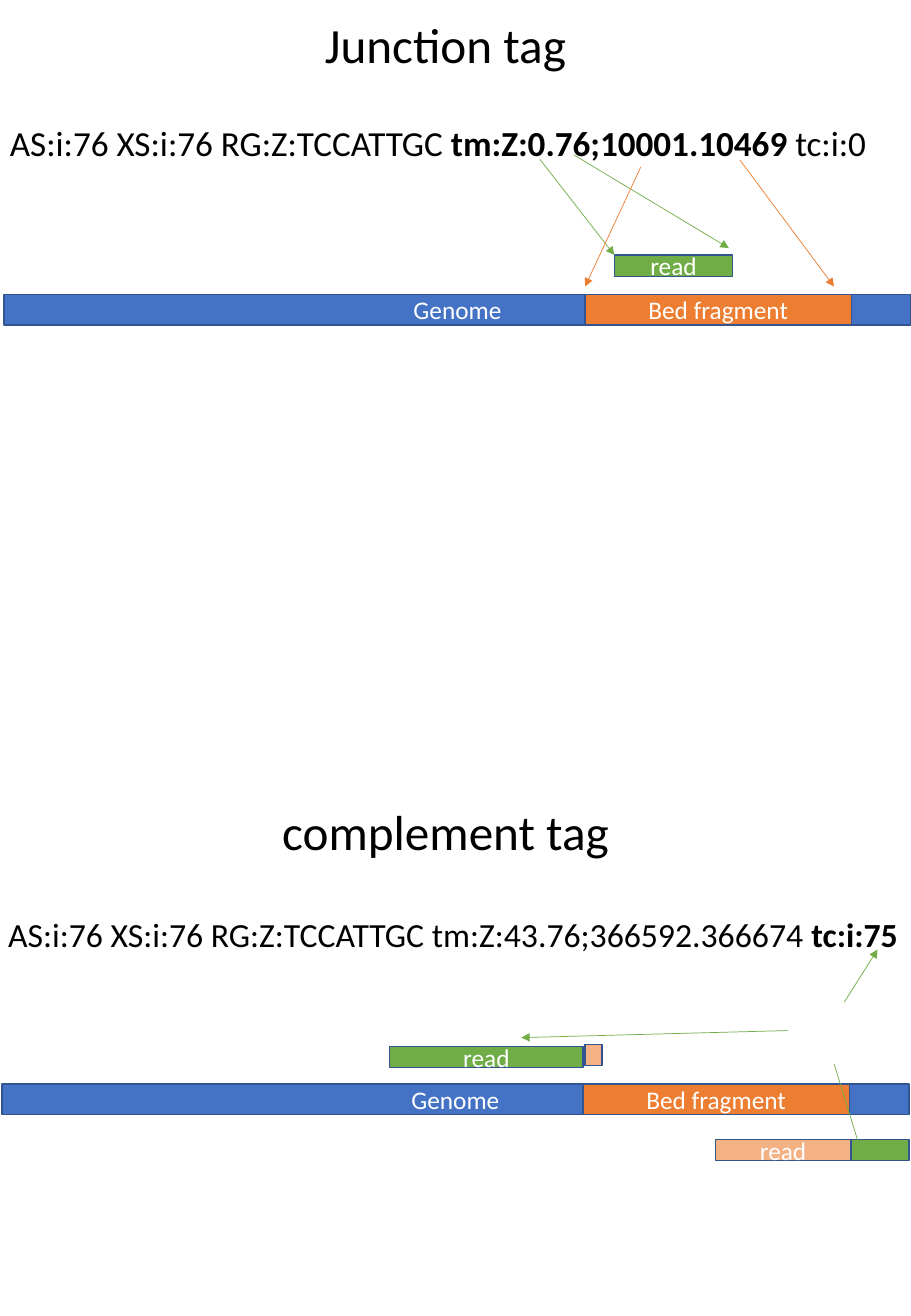
from lxml import etree
from pptx import Presentation
from pptx.dml.color import RGBColor
from pptx.enum.shapes import MSO_CONNECTOR, MSO_SHAPE
from pptx.enum.text import MSO_ANCHOR, MSO_AUTO_SIZE, PP_ALIGN
from pptx.oxml.ns import qn
from pptx.util import Pt

RECT = MSO_SHAPE.RECTANGLE
STRAIGHT = MSO_CONNECTOR.STRAIGHT
TOP, MIDDLE = MSO_ANCHOR.TOP, MSO_ANCHOR.MIDDLE
LEFT, CENTER = PP_ALIGN.LEFT, PP_ALIGN.CENTER
FIT_SHAPE = MSO_AUTO_SIZE.SHAPE_TO_FIT_TEXT
BLUE, ORANGE, GREEN, PEACH = "4472C4", "ED7D31", "70AD47", "F4B183"
OUTLINE, BLACK, WHITE = "325491", "000000", "FFFFFF"


def rgb(color):
    return RGBColor.from_string(color)


def write(sp, runs, size, color, align, anchor):
    tf = sp.text_frame
    tf.vertical_anchor = anchor
    p = tf.paragraphs[0]
    p.alignment = align
    p.font.name, p.font.size = "Calibri", Pt(size)
    p.font.color.rgb = rgb(color)
    for text, bold in runs:
        r = p.add_run()
        r.text = text
        if bold:
            r.font.bold = True


prs = Presentation()
prs.slide_width, prs.slide_height = Pt(648), Pt(936)
s = prs.slides.add_slide(prs.slide_layouts[5])

# Headings: the slide title and the heading of the lower half
title = s.shapes.title
subtitle = s.shapes.add_textbox(0, 0, 0, 0)
headings = [
    (title, "Junction tag", 223.9, 6.5, 187.9),
    (subtitle, "complement tag", 193.7, 566.6, 249.1),
]
for sp, text, x, y, w in headings:
    sp.left, sp.top, sp.width, sp.height = Pt(x), Pt(y), Pt(w), Pt(49.7)
    sp.text_frame.word_wrap = False
    sp.text_frame.auto_size = FIT_SHAPE
    write(sp, [(text, False)], 35, BLACK, LEFT, TOP)

# Tag lines, with the explained tag in bold
tag_lines = [
    (0, 82.8, 652.3, 67.7, 25, [("AS:i:76 XS:i:76 RG:Z:TCCATTGC ", False),
                                ("tm:Z:0.76;10001.10469 ", True), ("tc:i:0", False)]),
    (-1.4, 646.6, 649.4, 37.4, 24,
     [("AS:i:76 XS:i:76 RG:Z:TCCATTGC tm:Z:43.76;366592.366674 ", False),
      ("tc:i:75", True)]),
]
for x, y, w, h, size, runs in tag_lines:
    sp = s.shapes.add_textbox(Pt(x), Pt(y), Pt(w), Pt(h))
    sp.text_frame.word_wrap = True
    sp.text_frame.auto_size = FIT_SHAPE
    write(sp, runs, size, BLACK, LEFT, TOP)

# Genome with its bed fragment in both halves, then the reads
bars = []
for x, y in [(2.9, 209.5), (1.4, 771.1)]:
    bars += [("Genome", x, y, 645.1, 21.6, BLUE),
             ("Bed fragment", x + 413.3, y, 189.4, 21.6, ORANGE)]
bars += [
    ("read", 437, 181.4, 84.2, 15.1, GREEN),
    ("", 416.2, 743, 12.2, 14.8, PEACH),
    ("read", 277.2, 744.5, 137.5, 14.8, GREEN),
    ("read", 509, 810.7, 96, 14.8, PEACH),
    ("", 605.3, 810.7, 41.2, 14.8, GREEN),
]
for text, x, y, w, h, color in bars:
    sp = s.shapes.add_shape(RECT, Pt(x), Pt(y), Pt(w), Pt(h))
    sp.shadow.inherit = False
    sp.fill.solid()
    sp.fill.fore_color.rgb = rgb(color)
    sp.line.color.rgb = rgb(OUTLINE)
    sp.line.width = Pt(1)
    if text:
        write(sp, [(text, False)], 18, WHITE, CENTER, MIDDLE)

# Arrows between tag values and bars
arrows = [
    (383.8, 113, 437, 181.4, GREEN),
    (408.2, 110.2, 518.4, 176.4, GREEN),
    (455.8, 118.8, 416.2, 203.8, ORANGE),
    (526.3, 113.8, 593.3, 203.8, ORANGE),
    (560.2, 733, 370.8, 738, GREEN),
    (593.3, 756.7, 614.2, 824.4, GREEN),
    (600.5, 712.8, 624.2, 675.4, GREEN),
]
for x1, y1, x2, y2, color in arrows:
    c = s.shapes.add_connector(STRAIGHT, Pt(x1), Pt(y1), Pt(x2), Pt(y2))
    c.line.color.rgb = rgb(color)
    c.line.width = Pt(0.5)
    etree.SubElement(c.line._get_or_add_ln(), qn("a:tailEnd"), type="triangle")
    etree.SubElement(c._element.spPr, qn("a:effectLst"))

prs.save("out.pptx")
